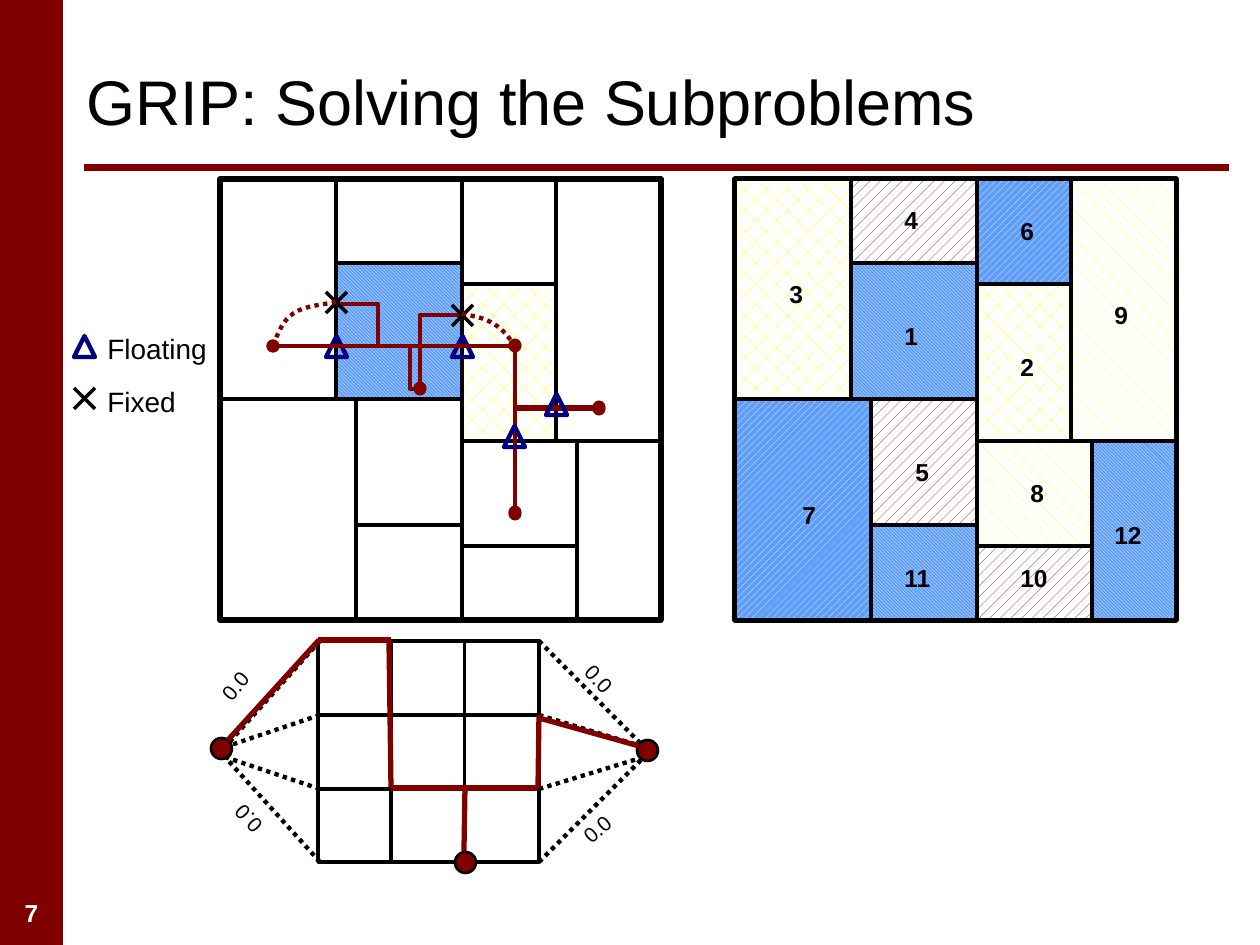
from pptx import Presentation
from pptx.dml.color import RGBColor as Rgb
from pptx.enum.dml import MSO_LINE as Dash, MSO_PATTERN as Pat
from pptx.enum.shapes import MSO_CONNECTOR as Conn, MSO_SHAPE as Kind
from pptx.enum.text import MSO_ANCHOR as Anchor, PP_ALIGN as Align
from pptx.oxml.ns import qn
from pptx.util import Pt
from lxml.etree import SubElement

PX = 914400 / 126
INK = {"red": "800000", "navy": "000080", "black": "000000",
       "white": "FFFFFF", "yellow": "FFFF00", "blue": "5E9EFF"}
HATCH = {
    "brick": (Pat.DIAGONAL_BRICK, "yellow", "white"),
    "shingle": (Pat.SHINGLE, "yellow", "white"),
    "dots": (Pat.PERCENT_20, "red", "white"),
    "down": (Pat.DARK_DOWNWARD_DIAGONAL, "white", "blue"),
    "up": (Pat.WIDE_UPWARD_DIAGONAL, "white", "blue"),
}
SIDE = 441
# Floorplan places are px from the plan's top left corner.
WALLS = [
    (242, 0, 242, 441), (0, 220, 242, 220), (242, 262, 441, 262),
    (336, 0, 336, 262), (357, 262, 357, 441), (116, 0, 116, 220),
    (136, 220, 136, 441), (242, 105, 336, 105), (116, 84, 242, 84),
    (136, 346, 242, 346), (242, 367, 357, 367),
]
# Number: left, top, right, bottom, hatch, label left, label top
CELLS = {
    1: (116, 84, 242, 220, "down", 157, 136),
    2: (242, 105, 336, 262, "brick", 273, 167),
    3: (0, 0, 116, 220, "brick", 42, 94),
    4: (116, 0, 242, 84, "dots", 157, 20),
    5: (136, 220, 242, 346, "dots", 168, 272),
    6: (242, 0, 336, 105, "up", 273, 31),
    7: (0, 220, 136, 441, "up", 55, 315),
    8: (242, 262, 357, 367, "shingle", 283, 293),
    9: (336, 0, 441, 262, "shingle", 367, 115),
    10: (242, 367, 357, 441, "dots", 273, 378),
    11: (136, 346, 242, 441, "down", 157, 378),
    12: (357, 262, 441, 441, "down", 367, 335),
}


def emu(*vals):
    return [round(v * PX) for v in vals]


def rgb(name):
    return Rgb.from_string(INK[name])


def pen(item, color, width, dash=None, head=False, tail=False):
    """Set the outline, with oval ends where asked."""
    item.line.color.rgb = rgb(color)
    item.line.width = Pt(width)
    if dash:
        item.line.dash_style = dash
    ln = item._element.spPr.find(qn("a:ln"))
    for tag, wanted in (("a:headEnd", head), ("a:tailEnd", tail)):
        if wanted:
            SubElement(ln, qn(tag), type="oval")


def line(slide, x1, y1, x2, y2, color="black", width=2, **ends):
    item = slide.shapes.add_connector(Conn.STRAIGHT, *emu(x1, y1, x2, y2))
    pen(item, color, width, **ends)
    SubElement(item._element.spPr, qn("a:effectLst"))


def shape(slide, kind, x, y, w, h, fill=None, color="black", width=2):
    item = slide.shapes.add_shape(kind, *emu(x, y, w, h))
    item.shadow.inherit = False
    if fill in HATCH:
        item.fill.patterned()
        item.fill.pattern, fore, back = HATCH[fill]
        item.fill.fore_color.rgb = rgb(fore)
        item.fill.back_color.rgb = rgb(back)
    elif fill:
        item.fill.solid()
        item.fill.fore_color.rgb = rgb(fill)
    else:
        item.fill.background()
    if color:
        pen(item, color, width)
    else:
        item.line.fill.background()


def route(slide, pts, dash=None, tail=True):
    """Draw an open red path through the points."""
    first, *rest = [emu(*p) for p in pts]
    path = slide.shapes.build_freeform(*first, scale=1.0)
    path.add_line_segments(rest, close=False)
    item = path.convert_to_shape()
    item.shadow.inherit = False
    item.fill.background()
    pen(item, "red", 2.5, dash=dash, tail=tail)


def curve(pts, steps=8):
    """Points along joined cubic Bezier arcs."""
    out = [pts[0]]
    for i in range(0, len(pts) - 1, 3):
        arc = pts[i:i + 4]
        for n in range(1, steps + 1):
            t = n / steps
            mix = ((1 - t) ** 3, 3 * t * (1 - t) ** 2, 3 * t * t * (1 - t), t ** 3)
            out.append(tuple(sum(m * p[k] for m, p in zip(mix, arc))
                             for k in (0, 1)))
    return out


def text(slide, words, x, y, w, h, size=14, color="black", bold=False,
         align=Align.LEFT, anchor=Anchor.TOP, turn=0, wrap=False):
    box = slide.shapes.add_textbox(*emu(x, y, w, h))
    box.rotation = turn
    frame = box.text_frame
    frame.word_wrap = wrap
    frame.vertical_anchor = anchor
    para = frame.paragraphs[0]
    para.alignment = align
    run = para.add_run()
    run.text = words
    font = run.font
    font.name, font.size, font.bold = "Arial", Pt(size), bold
    font.color.rgb = rgb(color)


def cell(slide, num, left, top):
    x1, y1, x2, y2, hatch = CELLS[num][:5]
    shape(slide, Kind.RECTANGLE, left + x1, top + y1, x2 - x1, y2 - y1, hatch)


def plan(slide, left, top):
    shape(slide, Kind.RECTANGLE, left, top, SIDE, SIDE, width=3)
    for x1, y1, x2, y2 in WALLS:
        line(slide, left + x1, top + y1, left + x2, top + y2)


def delta(slide, x, y):
    shape(slide, Kind.ISOSCELES_TRIANGLE, x, y, 21, 21, color="navy", width=2.5)


def cross(slide, x, y):
    line(slide, x, y, x + 21, y + 21)
    line(slide, x + 21, y, x, y + 21)


def node(slide, x, y):
    shape(slide, Kind.OVAL, x - 10, y - 10, 21, 21, "red", width=1.5)


def frame(slide):
    shape(slide, Kind.RECTANGLE, 0, 0, 63, 945, "red", None)
    line(slide, 84, 168, 1229, 168, "red", 4)
    text(slide, "7", 0, 892, 63, 42, color="white", bold=True,
         align=Align.CENTER, wrap=True)
    text(slide, "GRIP: Solving the Subproblems", 74, 32, 1144, 136, size=36,
         anchor=Anchor.MIDDLE, wrap=True)


def wires(slide):
    route(slide, [(336, 304), (378, 304), (378, 346), (420, 346), (420, 315),
                  (462, 315)], tail=False)
    route(slide, [(410, 346), (410, 389), (420, 389)])
    for x in (326, 452):
        delta(slide, x, 336)
    line(slide, 273, 346, 515, 346, "red", 2.5, head=True, tail=True)
    line(slide, 420, 346, 420, 388, "red", 2.5, tail=True)
    for x, y in ((452, 305), (326, 292)):
        cross(slide, x, y)
    for y in (346, 344):
        route(slide, [(515, y), (515, y + 63), (599, y + 63)])
        line(slide, 515, y + 63, 515, y + 168, "red", 2.5, tail=True)
    arcs = ([(336, 302), (320, 305), (305, 306), (294, 313), (283, 320),
             (278, 333), (273, 346)],
            [(462, 314), (474, 316), (485, 318), (494, 324), (503, 329),
             (508, 337), (515, 345)])
    for arc in arcs:
        route(slide, curve(arc), dash=Dash.ROUND_DOT)
    for x, y in ((504, 426), (546, 394)):
        delta(slide, x, y)


def legend(slide):
    delta(slide, 74, 336)
    cross(slide, 74, 388)
    text(slide, "Floating", 95, 325, 126, 47, size=16)
    text(slide, "Fixed", 95, 378, 95, 47, size=16)


def graph(slide):
    cols, rows = (318, 391, 465, 539), (641, 715, 789, 862)
    for x in cols[1:3]:
        line(slide, x, rows[0], x, rows[3], width=1.75)
    for y in rows[1:3]:
        line(slide, cols[0], y, cols[3], y, width=1.75)
    shape(slide, Kind.RECTANGLE, cols[0], rows[0], 221, 221)
    for edge, hub in ((320, 225), (539, 644)):
        shape(slide, Kind.OVAL, hub - 5, 747, 10, 10, "black", width=2.5)
        for y, end in zip(rows, (747, 747, 757, 757)):
            line(slide, edge, y, hub, end, width=2.5, dash=Dash.ROUND_DOT)
    for x, y in ((465, 862), (647, 750), (221, 748)):
        node(slide, x, y)
    for x, y, turn in ((572, 660, 47.1), (570, 810, 318.4),
                       (208, 667, 309.7), (221, 800, 226.9)):
        text(slide, "0.0", x, y, 54, 38, size=12, turn=turn)
    for ends in ((318, 640, 391, 640), (391, 788, 538, 788),
                 (539, 718, 639, 746), (391, 788, 389, 640),
                 (228, 740, 319, 640), (538, 788, 539, 715),
                 (464, 851, 465, 789)):
        line(slide, *ends, color="red", width=3)


def main():
    deck = Presentation()
    deck.slide_width, deck.slide_height = emu(1260, 945)
    slide = deck.slides.add_slide(deck.slide_layouts[6])
    frame(slide)
    top, left, right = 179, 220, 735
    for num in (2, 1):
        cell(slide, num, left, top)
    plan(slide, left, top)
    wires(slide)
    legend(slide)
    plan(slide, right, top)
    for num in CELLS:
        cell(slide, num, right, top)
    for num, (*_, x, y) in CELLS.items():
        text(slide, str(num), right + x, top + y, 39 if num < 10 else 53, 42,
             bold=True)
    graph(slide)
    deck.save("out.pptx")


if __name__ == "__main__":
    main()
